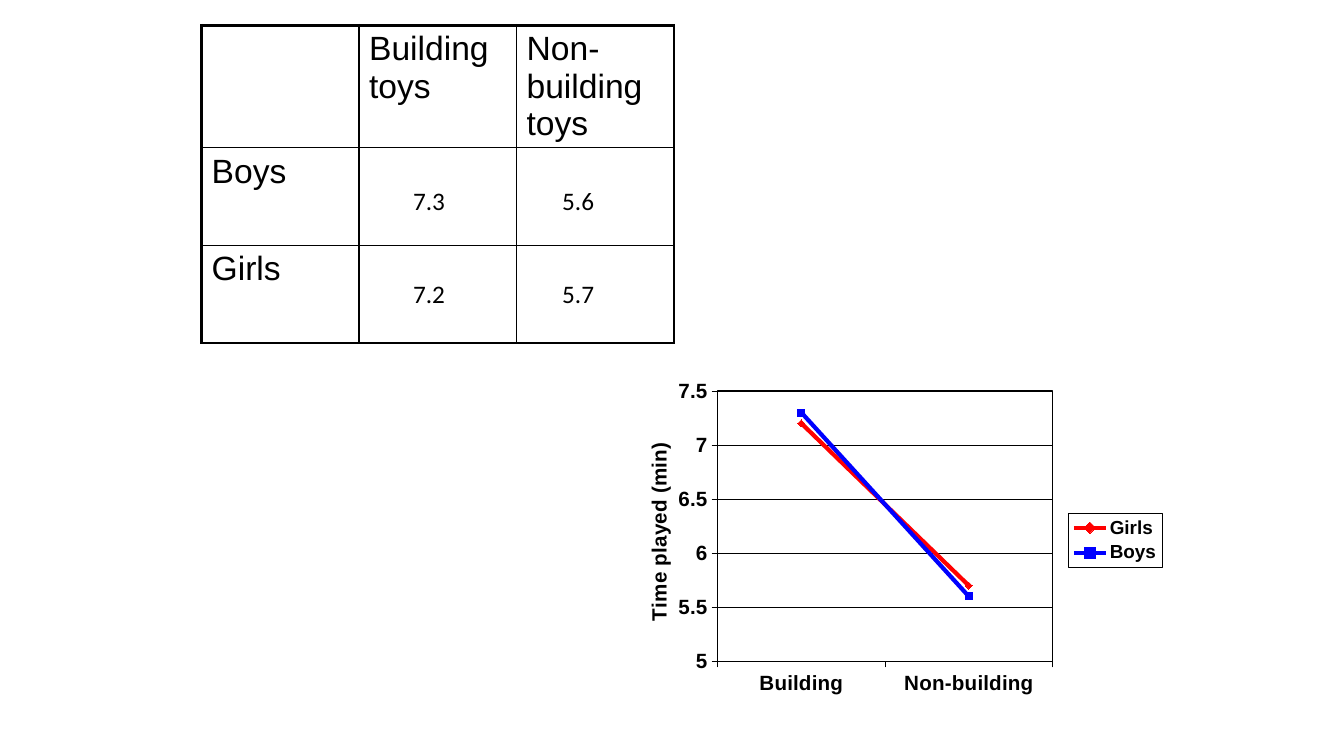
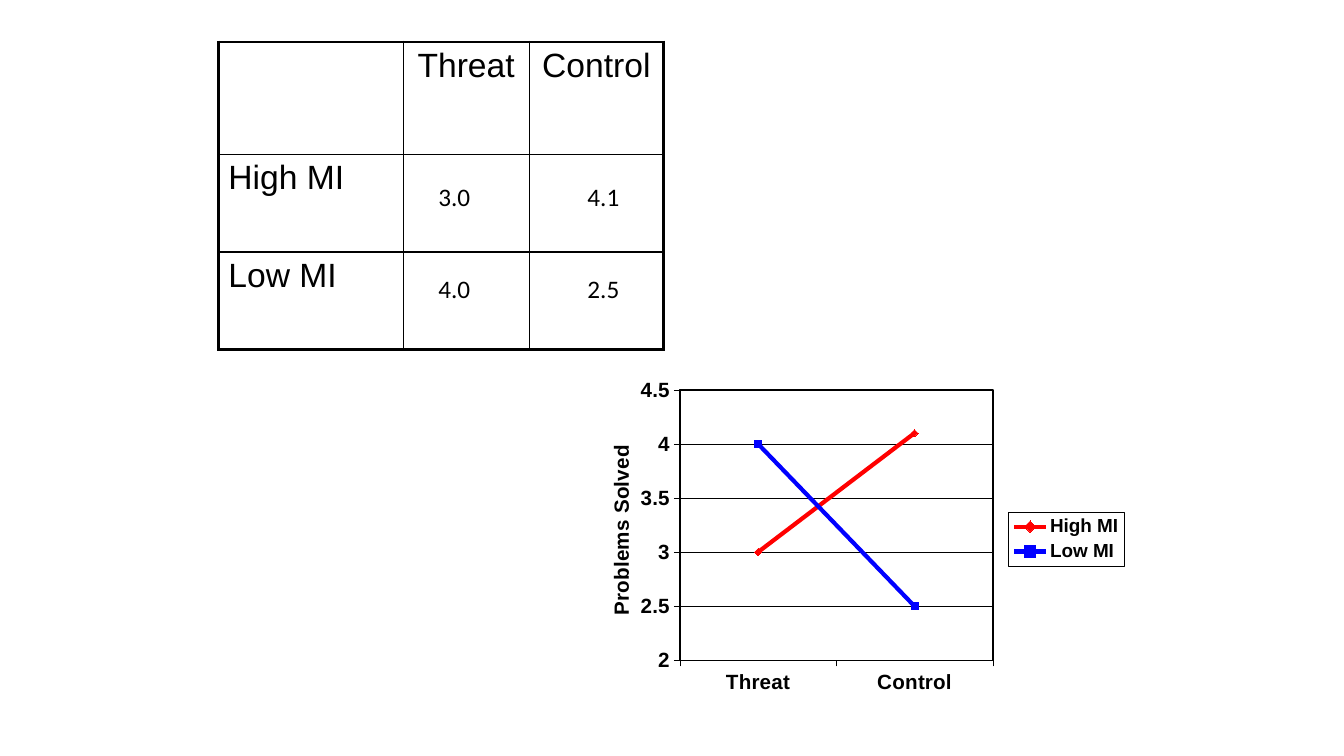
import pptx
import pptx.chart.data
import pptx.dml.color
import pptx.enum.chart
import pptx.enum.text
import pptx.oxml
import pptx.oxml.ns
import pptx.util
from dataclasses import dataclass

PX = 9525  # 96 px to the inch
ALIGN = pptx.enum.text.PP_ALIGN
CHART = pptx.enum.chart
qn = pptx.oxml.ns.qn


@dataclass(frozen=True)
class Theme:
    ink: str = "000000"
    series: tuple = (("FF0000", CHART.XL_MARKER_STYLE.DIAMOND),
                     ("0000FF", CHART.XL_MARKER_STYLE.SQUARE))
    label_font: str = "Arial"
    value_font: str = "Calibri"
    label_size: float = 24
    value_size: float = 18
    axis_size: float = 14.7
    legend_size: float = 13.5
    outer_line: float = 2.25
    inner_line: float = 1
    hairline: float = 0.29
    series_line: float = 3
    marker_size: int = 5


THEME = Theme()
ROW_HEIGHTS = (107, 93, 93)
VALUE_SIZE = (50, 38)
VALUE_STEP = (142, 88)
CHART_SIZE = (525, 345)

STUDIES = [
    dict(headings=("Building toys", "Non-building toys"), heading_align=ALIGN.LEFT,
         means={"Boys": (7.3, 5.6), "Girls": (7.2, 5.7)},
         table_at=(192, 24), columns=(150, 150, 150), values_at=(384, 172),
         chart_at=(590, 342), categories=("Building", "Non-building"),
         lines=("Girls", "Boys"), axis_title="Time played (min)",
         title_at=(0.04, 0.22), scale=(5, 7.5), plot=(0.178, 0.088, 0.608, 0.747)),
    dict(headings=("Threat", "Control"), heading_align=ALIGN.CENTER,
         means={"High MI": (3.0, 4.1), "Low MI": (4.0, 2.5)},
         table_at=(208, 40), columns=(176, 120, 128), values_at=(408, 168),
         chart_at=(554, 341), categories=("Threat", "Control"),
         lines=("High MI", "Low MI"), axis_title="Problems Solved",
         title_at=(0.04, 0.23), scale=(2, 4.5), plot=(0.178, 0.088, 0.568, 0.747)),
]


def emu(*lengths):
    return [length * PX for length in lengths]


def rgb(colour):
    return pptx.dml.color.RGBColor.from_string(colour)


def style_font(font, name, size, bold=False):
    font.name, font.size, font.bold = name, pptx.util.Pt(size), bold
    font.color.rgb = rgb(THEME.ink)


def style_line(line, width, colour=THEME.ink):
    line.color.rgb = rgb(colour)
    line.width = pptx.util.Pt(width)


def line_xml(tag, width):
    return (f'<{tag} xmlns:a="{pptx.oxml.ns.nsuri("a")}" w="{pptx.util.Pt(width)}">'
            f'<a:solidFill><a:srgbClr val="{THEME.ink}"/></a:solidFill></{tag}>')


def outline_xml(width):
    return pptx.oxml.parse_xml(
        f'<c:spPr xmlns:c="{pptx.oxml.ns.nsuri("c")}" xmlns:a="{pptx.oxml.ns.nsuri("a")}">'
        f'<a:noFill/>{line_xml("a:ln", width)}</c:spPr>')


def layout_xml(position, inner=False):
    """Manual chart layout, as fractions of the chart: x, y and optionally w, h."""
    parts = '<c:layoutTarget val="inner"/>' if inner else ""
    parts += '<c:xMode val="edge"/><c:yMode val="edge"/>'
    parts += "".join(f'<c:{key} val="{value}"/>' for key, value in zip("xywh", position))
    return pptx.oxml.parse_xml(f'<c:layout xmlns:c="{pptx.oxml.ns.nsuri("c")}">'
                               f'<c:manualLayout>{parts}</c:manualLayout></c:layout>')


def set_layout(parent, layout, index):
    for old in parent.findall(qn("c:layout")):
        parent.remove(old)
    parent.insert(index, layout)


def add_means_table(slide, study):
    labels = [("", *study["headings"])] + [(group, "", "") for group in study["means"]]
    columns = study["columns"]
    table = slide.shapes.add_table(
        len(labels), len(columns),
        *emu(*study["table_at"], sum(columns), sum(ROW_HEIGHTS))).table
    table.first_row = table.horz_banding = False
    for column, width in zip(table.columns, columns):
        column.width = width * PX
    for row, height in zip(table.rows, ROW_HEIGHTS):
        row.height = height * PX
    for r, row in enumerate(labels):
        for c, label in enumerate(row):
            cell = table.cell(r, c)
            edges = {"L": c == 0, "R": c == len(columns) - 1,
                     "T": r == 0, "B": r == len(labels) - 1}
            for side, outer in edges.items():
                width = THEME.outer_line if outer else THEME.inner_line
                cell._tc.get_or_add_tcPr().append(
                    pptx.oxml.parse_xml(line_xml(f"a:ln{side}", width)))
            cell.fill.background()
            if label:
                paragraph = cell.text_frame.paragraphs[0]
                paragraph.alignment = study["heading_align"] if r == 0 else ALIGN.LEFT
                run = paragraph.add_run()
                run.text = label
                style_font(run.font, THEME.label_font, THEME.label_size)


def add_mean_values(slide, study):
    left, top = study["values_at"]
    for r, means in enumerate(study["means"].values()):
        for c, mean in enumerate(means):
            box = slide.shapes.add_textbox(*emu(left + c * VALUE_STEP[0],
                                                top + r * VALUE_STEP[1], *VALUE_SIZE))
            box.text_frame.word_wrap = False
            run = box.text_frame.paragraphs[0].add_run()
            run.text = f"{mean:.1f}"
            style_font(run.font, THEME.value_font, THEME.value_size)


def add_interaction_chart(slide, study):
    data = pptx.chart.data.CategoryChartData()
    data.categories = study["categories"]
    for group in study["lines"]:
        data.add_series(group, study["means"][group])
    chart = slide.shapes.add_chart(CHART.XL_CHART_TYPE.LINE_MARKERS,
                                   *emu(*study["chart_at"], *CHART_SIZE), data).chart
    chart.has_title = False
    style_font(chart.font, THEME.label_font, THEME.axis_size, True)
    chart.plots[0].vary_by_categories = False

    for series, (colour, marker) in zip(chart.plots[0].series, THEME.series):
        series.smooth = False
        style_line(series.format.line, THEME.series_line, colour)
        series.marker.style, series.marker.size = marker, THEME.marker_size
        series.marker.format.fill.solid()
        series.marker.format.fill.fore_color.rgb = rgb(colour)
        series.marker.format.line.color.rgb = rgb(colour)

    values = chart.value_axis
    for axis in (chart.category_axis, values):
        axis.major_tick_mark = CHART.XL_TICK_MARK.OUTSIDE
        axis.minor_tick_mark = CHART.XL_TICK_MARK.NONE
        style_font(axis.tick_labels.font, THEME.label_font, THEME.axis_size, True)
        style_line(axis.format.line, THEME.hairline)
    values.minimum_scale, values.maximum_scale = study["scale"]
    values.major_unit = 0.5
    values.has_major_gridlines = True
    style_line(values.major_gridlines.format.line, THEME.hairline)
    run = values.axis_title.text_frame.paragraphs[0].add_run()
    run.text = study["axis_title"]
    style_font(run.font, THEME.label_font, THEME.axis_size, True)
    values.axis_title.text_frame._txBody.bodyPr.set("rot", "-5400000")
    values.axis_title.text_frame._txBody.bodyPr.set("vert", "horz")
    set_layout(values.axis_title._element, layout_xml(study["title_at"]), 1)

    chart.has_legend = True
    chart.legend.position = CHART.XL_LEGEND_POSITION.RIGHT
    chart.legend.include_in_layout = False
    style_font(chart.legend.font, THEME.label_font, THEME.legend_size, True)
    chart.legend._element.find(qn("c:txPr")).addprevious(outline_xml(THEME.hairline))

    plot_area = chart._chartSpace.chart.plotArea
    set_layout(plot_area, layout_xml(study["plot"], inner=True), 0)
    plot_area.append(outline_xml(THEME.inner_line))


def main():
    deck = pptx.Presentation()
    deck.slide_width, deck.slide_height = emu(1280, 720)
    for study in STUDIES:
        slide = deck.slides.add_slide(deck.slide_layouts[6])
        add_means_table(slide, study)
        add_interaction_chart(slide, study)
        add_mean_values(slide, study)
    deck.save("out.pptx")


if __name__ == "__main__":
    main()
